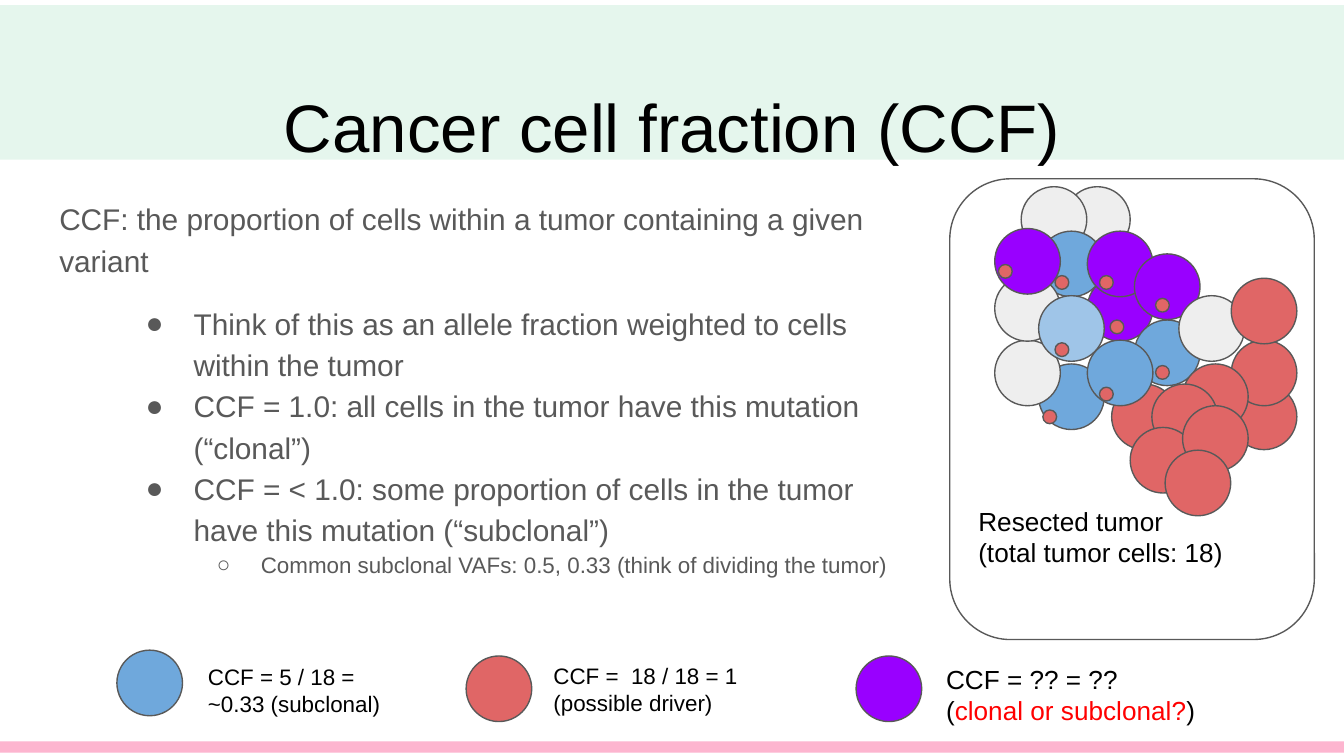
from lxml import etree
from pptx import Presentation, util as u
from pptx.dml.color import RGBColor
from pptx.enum import shapes, text
from pptx.oxml.ns import qn

COLORS = {
    "mint": "00B050", "pink": "FD337B", "gray": "595959", "black": "000000",
    "alert": "FF0000", "red": "E06666", "white": "EEEEEE", "blue": "6FA8DC",
    "pale": "9FC5E8", "purple": "9900FF",
}
CELL, DOT = 1.24, 0.26

CELLS = [
    ("red", 23.27, 7.26), ("red", 23.27, 6.43), ("white", 20.12, 3.53),
    ("white", 19.3, 3.53), ("blue", 19.63, 4.37), ("purple", 20.55, 5.21),
    ("blue", 21.44, 6.05), ("red", 22.35, 6.88), ("red", 21.01, 7.26),
    ("blue", 19.63, 6.88), ("white", 18.8, 6.43), ("blue", 20.55, 6.43),
    ("white", 18.8, 5.21), ("purple", 20.55, 4.37), ("pale", 19.63, 5.59),
    ("purple", 18.8, 4.32), ("purple", 21.44, 4.8), ("white", 22.28, 5.59),
    ("red", 21.77, 7.26), ("red", 21.36, 8.08), ("red", 22.35, 7.67),
    ("red", 22.02, 8.51), ("red", 23.27, 5.26),
]
MUTATIONS = [
    (20.78, 7.32), (19.71, 7.75), (21.84, 6.91), (21.84, 5.64), (19.94, 6.48),
    (20.98, 6.05), (20.78, 5.21), (18.87, 5), (19.94, 5.21),
]
LEGEND = [
    ("blue", 2.21, 12.29, (3.68, 12.29, 4.29, 1.55), 12,
     [["CCF = 5 / 18 = ~0.33 (subclonal)"]]),
    ("red", 8.81, 12.4, (10.21, 12.27, 4.19, 1.55), 12,
     [["CCF =  18 / 18 = 1 (possible driver)"]]),
    ("purple", 16.18, 12.4, (17.63, 12.29, 5.61, 1.7), 14,
     [["CCF = ?? = ??\v(", "clonal or subclonal?", ")"]]),
]
POINTS = [
    ("CCF: the proportion of cells within a tumor containing a given variant", None, 0),
    ("Think of this as an allele fraction weighted to cells within the tumor", "●", 12),
    ("CCF = 1.0: all cells in the tumor have this mutation (“clonal”)", "●", 0),
    ("CCF = < 1.0: some proportion of cells in the tumor have this mutation (“subclonal”)", "●", 0),
    ("Common subclonal VAFs: 0.5, 0.33 (think of dividing the tumor)", "○", 0),
]
BULLETS = {None: (0, 0, 0, 16), "●": (0, 2.54, -0.91, 16), "○": (1, 3.81, -0.83, 12)}


class Slide:
    font = "Arial"
    inset = 0.25

    def __init__(self, deck):
        self.page = deck.slides.add_slide(deck.slide_layouts[1])

    def color(self, name):
        return RGBColor.from_string(COLORS[name])

    def fade(self, owner, percent):
        for color in owner.iter(qn("a:srgbClr")):
            etree.SubElement(color, qn("a:alpha"), val=str(percent * 1000))

    def shape(self, kind, place, fill=None, line="gray"):
        shape = self.page.shapes.add_shape(kind, *map(u.Cm, place))
        shape.shadow.inherit = False
        if fill:
            shape.fill.solid()
            shape.fill.fore_color.rgb = self.color(fill)
        else:
            shape.fill.background()
        if line:
            shape.line.color.rgb = self.color(line)
            shape.line.width = u.Pt(0.75)
        else:
            shape.line.fill.background()
        return shape

    def circle(self, fill, left, top, size=CELL):
        self.shape(shapes.MSO_SHAPE.OVAL, (left, top, size, size), fill)

    def band(self, place, fill, percent):
        self.fade(self.shape(shapes.MSO_SHAPE.RECTANGLE, place, fill, None).element, percent)

    def rule(self, top, width, color, percent):
        line = self.page.shapes.add_connector(
            shapes.MSO_CONNECTOR.STRAIGHT, 0, u.Cm(top), u.Cm(25.4), u.Cm(top))
        line.line.color.rgb = self.color(color)
        line.line.width = u.Pt(width)
        self.fade(line.element, percent)
        etree.SubElement(line.element.spPr, qn("a:effectLst"))

    def frame(self, box, anchor=text.MSO_ANCHOR.TOP):
        frame = box.text_frame
        frame.word_wrap = True
        frame.auto_size = text.MSO_AUTO_SIZE.NONE
        frame.vertical_anchor = anchor
        frame.margin_left = frame.margin_right = u.Cm(self.inset)
        frame.margin_top = frame.margin_bottom = u.Cm(self.inset)
        return frame

    def style(self, span, size, color):
        span.font.name = self.font
        span.font.size = u.Pt(size)
        span.font.color.rgb = self.color(color)

    def placeholder(self, index, place):
        box = self.page.placeholders[index]
        box.left, box.top, box.width, box.height = map(u.Cm, place)
        box.element.getparent().append(box.element)
        return self.frame(box)

    def title(self, words, place):
        frame = self.placeholder(0, place)
        frame.text = words
        frame.margin_top, frame.margin_bottom = u.Cm(0.38), 0
        para = frame.paragraphs[0]
        para.alignment = text.PP_ALIGN.CENTER
        self.style(para.runs[0], 36, "black")

    def body(self, points, place):
        frame = self.placeholder(1, place)
        frame.text = "\n".join(words for words, _, _ in points)
        for para, (_, mark, before) in zip(frame.paragraphs, points):
            level, margin, indent, size = BULLETS[mark]
            props = para._p.get_or_add_pPr()
            props.set("marL", str(u.Cm(margin)))
            props.set("indent", str(u.Cm(indent)))
            if mark:
                tint = etree.SubElement(props, qn("a:buClr"))
                etree.SubElement(tint, qn("a:srgbClr"), val=COLORS["gray"])
                etree.SubElement(props, qn("a:buFont"), typeface=self.font)
                etree.SubElement(props, qn("a:buChar"), char=mark)
            else:
                etree.SubElement(props, qn("a:buNone"))
            para.level = level
            para.line_spacing = 1.15
            para.space_before = u.Pt(before)
            self.style(para.runs[0], size, "gray")

    def label(self, paragraphs, place, size):
        frame = self.frame(self.page.shapes.add_textbox(*map(u.Cm, place)))
        for number, (first, *rest) in enumerate(paragraphs):
            para = frame.add_paragraph() if number else frame.paragraphs[0]
            para.text = first
            for words in rest:
                para.add_run().text = words
            for span in para.runs:
                self.style(span, size, "alert" if span.text in rest[:1] else "black")


def main():
    deck = Presentation()
    deck.slide_width, deck.slide_height = u.Cm(25.4), u.Cm(14.29)
    slide = Slide(deck)

    slide.rule(14.12, 6, "pink", 20)
    slide.band((0, 0.1, 25.4, 2.92), "mint", 10)
    slide.rule(14.12, 6, "pink", 20)
    slide.shape(shapes.MSO_SHAPE.ROUNDED_RECTANGLE, (17.95, 3.38, 6.89, 8.71))
    slide.title("Cancer cell fraction (CCF)", (0.87, 1.24, 23.67, 1.6))
    slide.body(POINTS, (0.87, 3.45, 16.56, 9.5))

    for cell in CELLS:
        slide.circle(*cell)
    slide.label([["Resected tumor"], ["(total tumor cells: 18)"]], (18.24, 9.3, 6.27, 1.7), 14)
    for fill, left, top, place, size, words in LEGEND:
        slide.circle(fill, left, top)
        slide.label(words, place, size)
    for left, top in MUTATIONS:
        slide.circle("red", left, top, DOT)

    deck.save("out.pptx")


if __name__ == "__main__":
    main()
